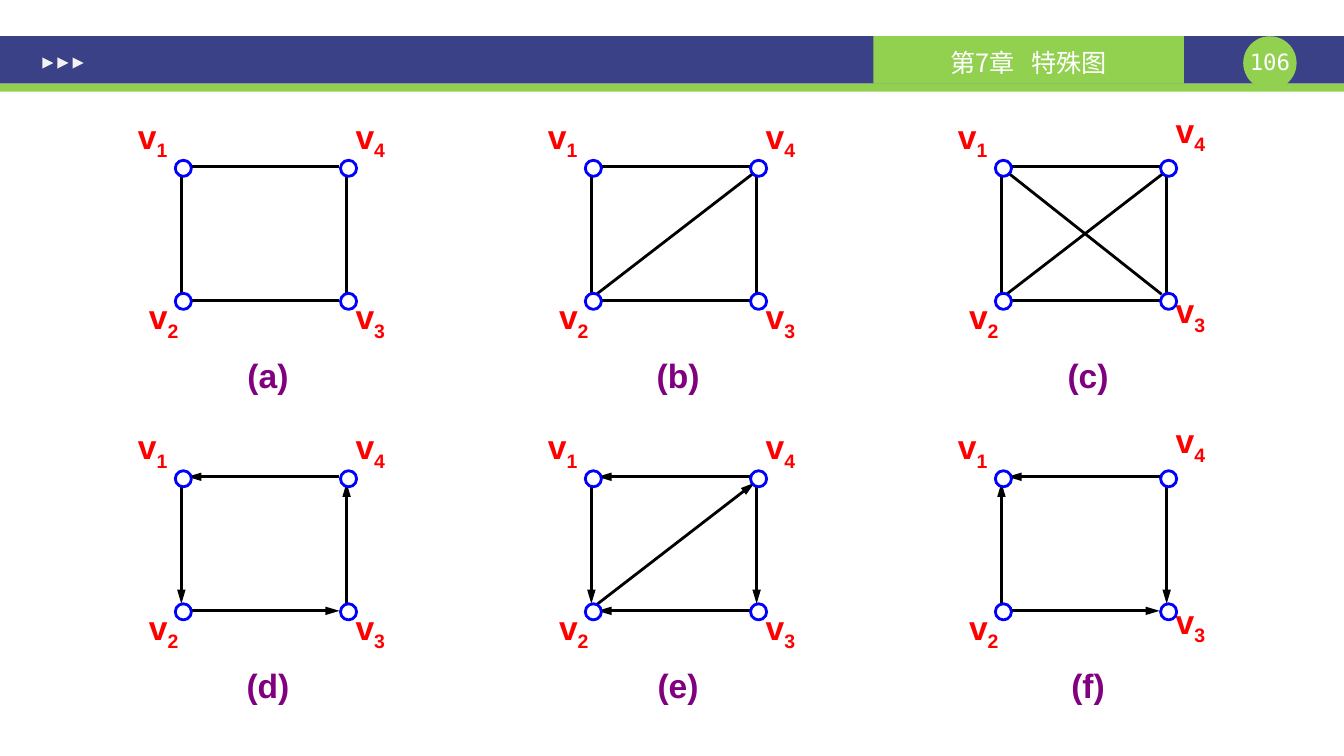
"""Build the slide of six four-vertex graphs, three undirected and three directed."""
from lxml.etree import SubElement
from pptx import Presentation
from pptx.dml.color import RGBColor
from pptx.enum.shapes import MSO_CONNECTOR, MSO_SHAPE
from pptx.enum.text import MSO_ANCHOR, PP_ALIGN
from pptx.oxml.ns import qn
from pptx.util import Inches, Pt

NAVY = RGBColor(0x3A, 0x41, 0x87)
GREEN = RGBColor(0x92, 0xD0, 0x50)
PALE = RGBColor(0xF2, 0xF2, 0xF2)
WHITE = RGBColor(0xFF, 0xFF, 0xFF)
BLACK = RGBColor(0, 0, 0)
RED = RGBColor(0xFF, 0, 0)
BLUE = RGBColor(0, 0, 0xFF)
PURPLE = RGBColor(0x80, 0, 0x80)

prs = Presentation()
prs.slide_width, prs.slide_height = Inches(13.34), Inches(7.5)
slide = prs.slides.add_slide(prs.slide_layouts[6])
shapes = slide.shapes


def draw(kind, box, fill, line=None):
    shape = shapes.add_shape(kind, *map(Inches, box))
    shape.shadow.inherit = False
    shape.fill.solid()
    shape.fill.fore_color.rgb = fill
    if line is None:
        shape.line.fill.background()
    else:
        shape.line.color.rgb = line
        shape.line.width = Pt(2)
    return shape


def write(box, parts, color, size=24, name="Arial", bold=True):
    label = shapes.add_textbox(*map(Inches, box))
    frame = label.text_frame
    look = dict(word_wrap=True, margin_left=0, margin_right=0,
                margin_top=0, margin_bottom=0)
    for key, value in look.items():
        setattr(frame, key, value)
    line = frame.paragraphs[0]
    line.alignment = PP_ALIGN.CENTER
    for text, extra in parts:
        run = line.add_run()
        run.text = text
        for key, value in dict(size=Pt(size), name=name, bold=bold).items():
            setattr(run.font, key, value)
        run.font.color.rgb = color
        props = run.font._element
        SubElement(props, qn("a:ea")).set("typeface", name)
        for key, value in extra.items():
            props.set(key, value)
    return frame


draw(MSO_SHAPE.RECTANGLE, (0, 0.36, 13.34, 0.47), NAVY)
draw(MSO_SHAPE.RECTANGLE, (0, 0.83, 13.34, 0.08), GREEN)
draw(MSO_SHAPE.OVAL, (12.34, 0.36, 0.53, 0.53), GREEN)
write((12.34, 0.48, 0.53, 0.27), [("106", {})], WHITE, 16, "DejaVu Sans Mono", False)
chapter = (8.67, 0.36, 3.08, 0.47)
draw(MSO_SHAPE.RECTANGLE, chapter, GREEN)
title = write(chapter, [("第7章", {}), (" ", {"spc": "800"}), ("特殊图", {})],
              WHITE, 18, "Noto Sans CJK SC", False)
title.vertical_anchor = MSO_ANCHOR.MIDDLE
title.margin_top = Inches(0.04)
for i in range(3):
    mark = draw(MSO_SHAPE.ISOSCELES_TRIANGLE, (0.42 + 0.15 * i, 0.57, 0.11, 0.11), PALE)
    mark.rotation = 90

NODES = {"1": (0, 0), "2": (0, 1.32), "3": (1.64, 1.32), "4": (1.64, 0)}
NAMES = {"1": (-0.43, -0.44), "2": (-0.32, 1.35), "3": (1.73, 1.35), "4": (1.73, -0.44)}
EDGES = {
    "12": ((0.06, 0.12), (0.06, 1.32)),
    "23": ((0.12, 1.39), (1.63, 1.39)),
    "34": ((1.7, 1.32), (1.7, 0.12)),
    "14": ((0.12, 0.06), (1.63, 0.06)),
    "24": ((0.11, 1.33), (1.68, 0.12)),
    "13": ((0.12, 0.12), (1.65, 1.33)),
}
GRAPHS = {
    "(a)": ["14", "12", "23", "34"],
    "(b)": ["14", "12", "23", "34", "24"],
    "(c)": ["14", "12", "23", "34", "24", "13"],
    "(d)": ["41", "12", "23", "34"],
    "(e)": ["41", "12", "32", "43", "24"],
    "(f)": ["41", "21", "23", "43"],
}

for i, (caption, edges) in enumerate(GRAPHS.items()):
    row, col = divmod(i, 3)
    left, top = 1.74 + 4.07 * col, 1.59 + 3.08 * row
    for digit, (x, y) in NAMES.items():
        lift = 0.06 if col == 2 and digit in "34" else 0
        write((left + x, top + y - lift, 0.41, 0.4),
              [("v", {}), (digit, {"baseline": "-25000"})], RED)
    for edge in edges:
        start, end = EDGES[edge] if edge in EDGES else EDGES[edge[::-1]][::-1]
        line = shapes.add_connector(
            MSO_CONNECTOR.STRAIGHT, Inches(left + start[0]), Inches(top + start[1]),
            Inches(left + end[0]), Inches(top + end[1]))
        line.line.color.rgb = BLACK
        line.line.width = Pt(2)
        if row == 1:
            tip = SubElement(line.line._get_or_add_ln(), qn("a:tailEnd"))
            for key, value in dict(type="triangle", w="med", len="lg").items():
                tip.set(key, value)
        SubElement(line._element.spPr, qn("a:effectLst"))
    write((left + 0.58, top + 1.93, 0.68, 0.4), [(caption, {})], PURPLE)
    for x, y in NODES.values():
        draw(MSO_SHAPE.OVAL, (left + x, top + y, 0.16, 0.16), WHITE, BLUE)

prs.save("out.pptx")
